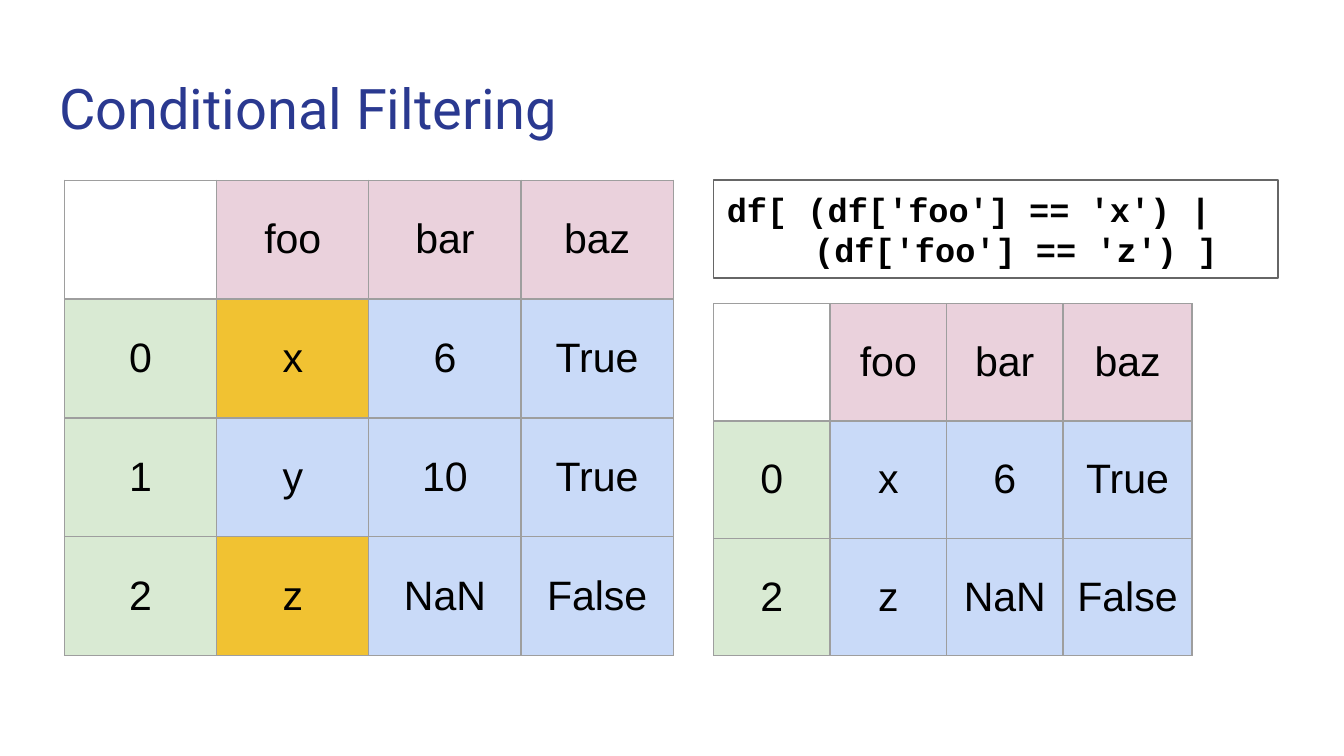
from lxml import etree
from pptx import Presentation
from pptx import util as u
from pptx.dml.color import RGBColor
from pptx.enum import shapes, text
from pptx.oxml.ns import qn

# Content
TITLE = "Conditional Filtering"
CODE = ["df[ (df['foo'] == 'x') |", " (df['foo'] == 'z') ]"]
HEADER = ["", "foo", "bar", "baz"]
RECORDS = [["0", "x", "6", "True"],
           ["1", "y", "10", "True"],
           ["2", "z", "NaN", "False"]]
MATCHES = ("x", "z")

COLORS = {"title": "2A3990", "text": "000000", "corner": "FFFFFF", "header": "EAD1DC",
          "index": "D9EAD3", "value": "C9DAF8", "match": "F1C232",
          "border": "9E9E9E", "code_line": "666666"}

# Layout in inches, on a 16:9 slide
WIDTH = 10
HEIGHT = WIDTH * 9 / 16
LEFT, RIGHT, TOP, BOTTOM = 0.48, 5.31, 1.34, 4.88
RESULT_TOP = 2.26
FULL_WIDTH, RESULT_WIDTH, LAST_COLUMN = 4.53, 3.56, 0.96
INSET = u.Inches(0.1)


def color(name):
    return RGBColor.from_string(COLORS[name])


def set_insets(target):
    target.margin_left = target.margin_right = INSET
    target.margin_top = target.margin_bottom = INSET


def style_font(font, name, size, color_name, bold=False):
    font.name, font.size, font.bold = name, u.Pt(size), bold
    font.color.rgb = color(color_name)


def add_borders(cell):
    properties = cell._tc.get_or_add_tcPr()
    for position, side in enumerate(("lnL", "lnR", "lnT", "lnB")):
        line = etree.Element(qn(f"a:{side}"), w=str(u.Pt(0.75)))
        fill = etree.SubElement(line, qn("a:solidFill"))
        etree.SubElement(fill, qn("a:srgbClr"), val=COLORS["border"])
        properties.insert(position, line)


def cell_color(row, column, value, highlight):
    if row == 0:
        return "header" if column else "corner"
    if column == 0:
        return "index"
    return "match" if value in highlight else "value"


def add_data_table(slide, left, top, widths, records, highlight=()):
    rows = [HEADER] + records
    frame = slide.shapes.add_table(len(rows), len(widths), u.Inches(left), u.Inches(top),
                                   u.Inches(sum(widths)), u.Inches(BOTTOM - top))
    table = frame.table
    table.first_row = table.horz_banding = False
    for column, width in zip(table.columns, widths):
        column.width = u.Inches(width)
    for r, values in enumerate(rows):
        table.rows[r].height = u.Inches((BOTTOM - top) / len(rows))
        for c, value in enumerate(values):
            cell = table.cell(r, c)
            cell.fill.solid()
            cell.fill.fore_color.rgb = color(cell_color(r, c, value, highlight))
            add_borders(cell)
            set_insets(cell)
            cell.vertical_anchor = text.MSO_ANCHOR.MIDDLE
            if value:
                cell.text = value
                paragraph = cell.text_frame.paragraphs[0]
                paragraph.alignment = text.PP_ALIGN.CENTER
                style_font(paragraph.font, "Arial", 22, "text")


presentation = Presentation()
presentation.slide_width, presentation.slide_height = u.Inches(WIDTH), u.Inches(HEIGHT)
slide = presentation.slides.add_slide(presentation.slide_layouts[5])

# Title
title = slide.shapes.title
title.left, title.top = u.Inches(0.34), u.Inches(0.45)
title.width, title.height = u.Inches(9.32), u.Inches(0.66)
title.text = TITLE
title.text_frame.auto_size = text.MSO_AUTO_SIZE.NONE
title.text_frame.vertical_anchor = text.MSO_ANCHOR.TOP
set_insets(title.text_frame)
heading = title.text_frame.paragraphs[0]
heading.alignment = text.PP_ALIGN.LEFT
style_font(heading.font, "Roboto", 30, "title")

# Full table with the matching cells highlighted
add_data_table(slide, LEFT, TOP, [FULL_WIDTH / 4] * 4, RECORDS, MATCHES)

# Filter expression
code_box = slide.shapes.add_shape(shapes.MSO_SHAPE.RECTANGLE, u.Inches(RIGHT), u.Inches(TOP),
                                  u.Inches(4.2), u.Inches(0.73))
code_box.shadow.inherit = False
code_box.fill.background()
code_box.line.color.rgb = color("code_line")
code_box.line.width = u.Pt(0.75)
code_frame = code_box.text_frame
code_frame.word_wrap = True
code_frame.vertical_anchor = text.MSO_ANCHOR.MIDDLE
set_insets(code_frame)
code_frame.text = "\n".join(CODE)
for paragraph in code_frame.paragraphs:
    paragraph.alignment = text.PP_ALIGN.LEFT
    style_font(paragraph.font, "Courier New", 18, "text", bold=True)
continuation = code_frame.paragraphs[1]._p.get_or_add_pPr()
continuation.set("marL", "0")
continuation.set("indent", str(u.Inches(0.5)))

# Filtered result
matching = [record for record in RECORDS if record[1] in MATCHES]
result_widths = [(RESULT_WIDTH - LAST_COLUMN) / 3] * 3 + [LAST_COLUMN]
add_data_table(slide, RIGHT, RESULT_TOP, result_widths, matching)

presentation.save("out.pptx")
